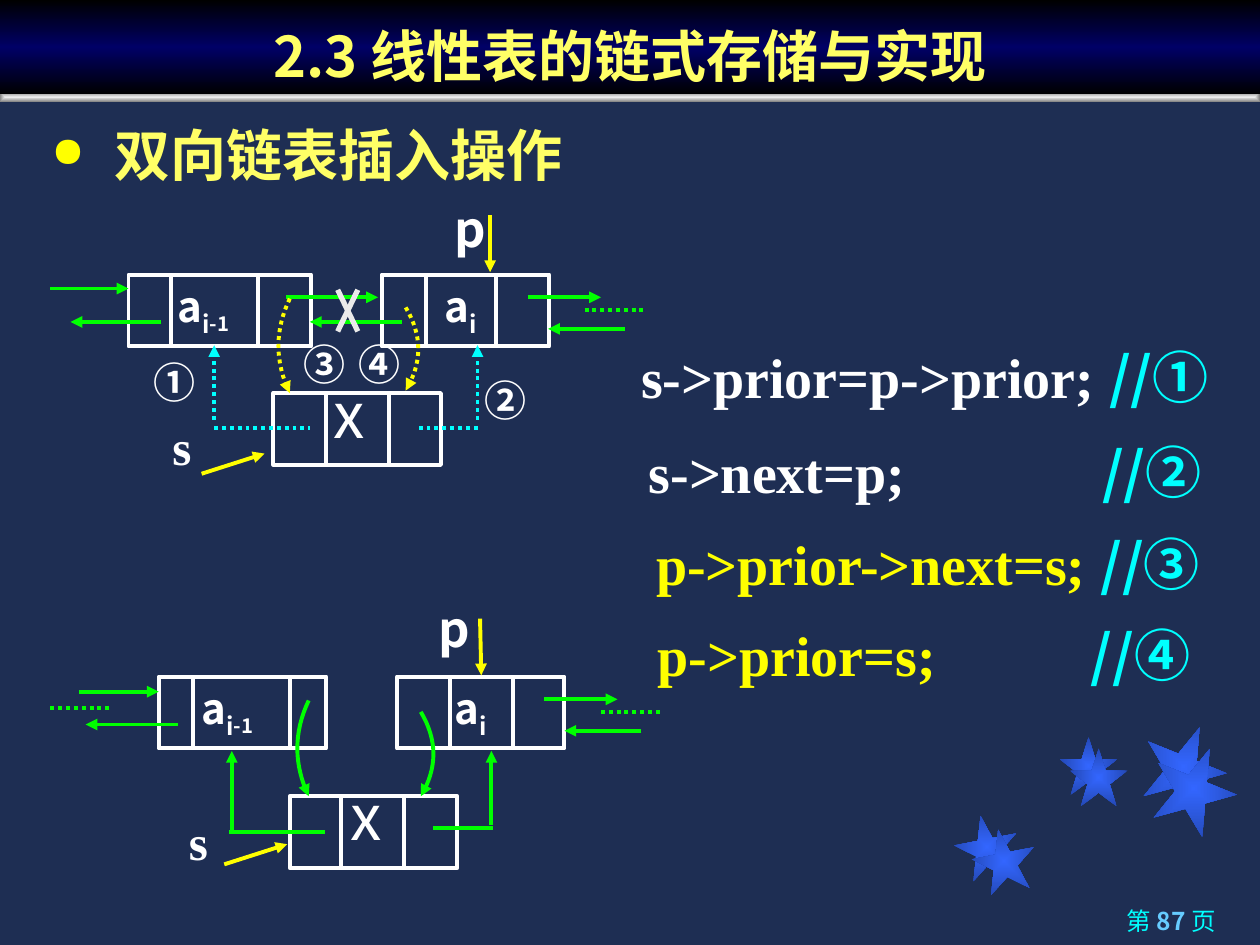
from lxml import etree
from pptx import Presentation, util as u
from pptx.dml.color import RGBColor
from pptx.enum import dml, shapes, text
from pptx.oxml import parse_xml
from pptx.oxml.ns import qn

HUES = {"back": "1E2E53", "white": "FFFFFF", "pale": "EAEAEA", "yellow": "FFFF00",
        "title": "FFFF66", "cyan": "00FFFF", "sky": "66CCFF", "green": "00FF00"}
FADES = {"star": ["3366FF", "2449B6"], "bar": ["EDEDED", "808080"],
         "head": ["000000", "000066", "000000"]}
SANS, SERIF = "Noto Sans CJK SC", "Times New Roman"
NS = "http://schemas.openxmlformats.org/drawingml/2006/main"

# The slide is a grid of 100 columns by 75 rows of square cells.
COLS, ROWS = 100, 75
CELL = u.Inches(0.1)
deck = Presentation()
deck.slide_width, deck.slide_height = COLS * CELL, ROWS * CELL
slide = deck.slides.add_slide(deck.slide_layouts[6])
slide.background.fill.solid()
slide.background.fill.fore_color.rgb = RGBColor.from_string(HUES["back"])


def write(box, runs, size, face=SANS, hue="white", bold=True, wrap=True):
    """Fill a shape, or a new box at (x, y, w, h), with (words, changes) runs."""
    if isinstance(box, tuple):
        box = slide.shapes.add_textbox(*[round(n * CELL) for n in box])
    frame = box.text_frame
    frame.word_wrap = wrap
    para = frame.paragraphs[0]
    for words, diff in runs:
        run = para.add_run()
        run.text = words
        font = run.font
        font.name = diff.get("face", face)
        font.color.rgb = RGBColor.from_string(HUES[diff.get("hue", hue)])
        font.bold = diff.get("bold", bold)
        font.size = u.Pt(diff.get("size", size))
        rpr = run._r.get_or_add_rPr()
        etree.SubElement(rpr, qn("a:ea")).set("typeface", SANS)
        if "base" in diff:
            rpr.set("baseline", str(diff["base"] * 1000))
    return para


def draw(points, hue="green", head=True, dots=False, width=2.25):
    """Draw a straight line through two points or a curve through many."""
    spots = [(round(x * CELL), round(y * CELL)) for x, y in points]
    if len(spots) == 2:
        item = slide.shapes.add_connector(shapes.MSO_CONNECTOR.STRAIGHT, *spots[0], *spots[1])
    else:
        path = slide.shapes.build_freeform(*spots[0])
        path.add_line_segments(spots[1:], close=False)
        item = path.convert_to_shape()
        item.fill.background()
    item.line.color.rgb = RGBColor.from_string(HUES[hue])
    item.line.width = u.Pt(width)
    if dots:
        item.line.dash_style = dml.MSO_LINE.ROUND_DOT
    if head:
        etree.SubElement(item.line._get_or_add_ln(), qn("a:tailEnd")).set("type", "triangle")
    etree.SubElement(item._element.spPr, qn("a:effectLst"))


# Stars, divider bar and title band
STAR, RECT = shapes.MSO_SHAPE.STAR_5_POINT, shapes.MSO_SHAPE.RECTANGLE
for kind, x, y, w, h, turn, fade in [
        (STAR, 75.8, 64.7, 5, 5, 349, "star"), (STAR, 84.1, 58.5, 4.6, 4.6, 0, "star"),
        (STAR, 90.6, 57.5, 6.7, 6.7, 22, "star"), (STAR, 77.2, 65.8, 5, 5, 349, "star"),
        (STAR, 84.9, 59.4, 4.6, 4.6, 0, "star"), (STAR, 91.4, 59.2, 6.7, 6.7, 22, "star"),
        (RECT, 0, 7.3, COLS, 0.8, 0, "bar"), (RECT, 0, 0, COLS, 7.5, 0, "head")]:
    band = slide.shapes.add_shape(kind, *[round(n * CELL) for n in (x, y, w, h)])
    band.rotation = turn
    band.shadow.inherit = False
    band.line.fill.background()
    tones = FADES[fade]
    stops = "".join(f'<a:gs pos="{100000 * i // (len(tones) - 1)}"><a:srgbClr val="{tone}"/></a:gs>'
                    for i, tone in enumerate(tones))
    way = ('<a:lin ang="5400000" scaled="0"/>' if fade == "head" else
           '<a:path path="shape"><a:fillToRect l="50000" t="50000" r="50000" b="50000"/></a:path>')
    band._element.spPr.find(qn("a:prstGeom")).addnext(parse_xml(
        f'<a:gradFill xmlns:a="{NS}" rotWithShape="1"><a:gsLst>{stops}</a:gsLst>{way}</a:gradFill>'))
band.text_frame.vertical_anchor = text.MSO_ANCHOR.BOTTOM
write(band, [("2.3 线性表的链式存储与实现", {})], 32, hue="title").alignment = text.PP_ALIGN.CENTER

page = write((71.2, 71.4, 26.3, 3.6),
             [("第 ", {}), ("87 ", {"hue": "sky", "bold": True}), ("页", {})],
             14, hue="cyan", bold=False)
page.alignment = text.PP_ALIGN.RIGHT

# Heading with its bullet
topic = write((3.1, 9.1, 43.1, 6.4), [("双向链表插入操作", {})], 32, SERIF, "title", wrap=False)
ppr = topic._p.get_or_add_pPr()
ppr.set("marL", str(5 * CELL))
ppr.set("indent", str(-5 * CELL))
etree.SubElement(etree.SubElement(ppr, qn("a:buClr")), qn("a:srgbClr")).set("val", HUES["yellow"])
etree.SubElement(ppr, qn("a:buSzPct")).set("val", "75000")
etree.SubElement(ppr, qn("a:buChar")).set("char", "●")

# Code lines; a tab stop, where given, sets the comment apart
for x, y, code, note, hue, tab in [
        (49.9, 25.6, "s->prior=p->prior; ", "//①", "white", 0),
        (50.5, 33.2, "s->next=p;\t", "//②", "white", 36),
        (51.1, 40.5, "p->prior->next=s; ", "//③", "yellow", 0),
        (51.2, 47.7, "p->prior=s;\t", "//④", "yellow", 34.4)]:
    para = write((x, y, 48, 7.5), [(code, {}), (note, {"face": SANS, "hue": "cyan"})],
                 32, SERIF, hue)
    para.line_spacing = 1.2
    if tab:
        tabs = etree.SubElement(para._p.get_or_add_pPr(), qn("a:tabLst"))
        stop = etree.SubElement(tabs, qn("a:tab"))
        stop.set("pos", str(round(tab * CELL)))
        stop.set("algn", "l")

# List nodes: left, top, width, two dividers
TALL = 5.7
for x, y, w, bars in [
        (10.2, 21.8, 14.5, (13.6, 20.5)), (30.3, 21.8, 13.3, (33.8, 39.4)),
        (21.7, 31.2, 13.3, (25.9, 30.9)), (12.6, 53.7, 13.3, (15.3, 23)),
        (31.5, 53.7, 13.3, (35.7, 40.7)), (23, 63.2, 13.3, (27.1, 32.1))]:
    node = slide.shapes.add_shape(RECT, *[round(n * CELL) for n in (x, y, w, TALL)])
    node.shadow.inherit = False
    node.fill.background()
    node.line.color.rgb = RGBColor.from_string(HUES["white"])
    node.line.width = u.Pt(2.25)
    for bar in bars:
        draw([(bar, y), (bar, y + TALL)], "white", head=False)

# Parts that both diagrams share, before and after the insertion
SUB = ("i", {"base": -25})
for dx, dy in [(0, 0), (1.3, 31.9)]:
    draw([(41.9 + dx, 23.6 + dy), (47.7 + dx, 23.6 + dy)])
    draw([(49.6 + dx, 26.1 + dy), (43.5 + dx, 26.1 + dy)])
    draw([(46.4 + dx, 24.6 + dy), (51.2 + dx, 24.6 + dy)], head=False, dots=True)
    write((25.5 + dx, 29.3 + dy, 5.7, 7), [("x", {})], 36, bold=False)
for x, y in [(13.1, 21.8), (15, 53.7)]:
    write((x, y, 10.3, 5.1), [("a", {}), SUB, ("-1", {"base": -25, "size": 20})], 24)
for x, y in [(34.3, 21.8), (35.1, 53.7)]:
    write((x, y, 7.8, 5.1), [("a", {}), SUB], 24)
for name, face, x, y in [("p", SANS, 35.1, 15.3), ("p", SANS, 33.8, 47),
                         ("s", SERIF, 12.7, 32.6), ("s", SERIF, 14, 63.9)]:
    write((x, y, 5, 5.7), [(name, {})], 28, face)
for mark, x, y in [("①", 11.2, 27.8), ("②", 37.5, 29.2), ("③", 23.1, 26.4), ("④", 27.5, 26.4)]:
    write((x, y, 5.7, 5.1), [(mark, {})], 24)

# Pointers p and s
for x, y, dx, dy in [(38.9, 17.1, 0, 4.5), (38.1, 49.1, 0.1, 4.5),
                     (16, 37.6, 5, -1.6), (17.8, 68.6, 5, -1.6)]:
    draw([(x, y), (x + dx, y + dy)], "yellow")

# Links to and between neighbours
for x, y, end in [(4, 22.9, 10.2), (22.7, 23.6, 30), (31.9, 25.55, 24.6), (12.8, 25.55, 5.6),
                  (6.3, 54.9, 12.6), (14.1, 57.5, 6.8)]:
    draw([(x, y), (end, y)])
draw([(4, 56.2), (8.7, 56.2)], head=False, dots=True)

# Links that rise from the new node: x and foot of riser, top, ends and row of base
for x, foot, top, start, end, row, hue in [
        (17, 33.3, 27.4, 17, 24.6, 34, "cyan"), (37.9, 33.3, 27.4, 37.9, 33.1, 34, "cyan"),
        (18.4, 65.9, 59.6, 18.2, 25.8, 66, "green"), (39, 65.5, 59.6, 39.1, 34.4, 65.7, "green")]:
    draw([(x, foot), (x, top)], hue, dots=hue == "cyan")
    draw([(start, row), (end, row)], hue, head=False, dots=hue == "cyan")

# Curved links down to the new node: start, height, sideways bulge
STEPS = 16
for x, y, drop, bulge, hue in [
        (32.2, 24.4, 6.6, 1, "yellow"), (23, 23.7, 7.5, -0.9, "yellow"),
        (24.5, 55.6, 7.6, -0.9, "green"), (33.4, 56.5, 6.7, 1, "green")]:
    arc = [(x + bulge * (1 - (2 * i / STEPS - 1) ** 2), y + drop * i / STEPS)
           for i in range(STEPS + 1)]
    draw(arc, hue, dots=hue == "yellow")

# Cross over the broken links
for left, right in [(28.4, 26.8), (26.8, 28.4)]:
    draw([(left, 23), (right, 26.3)], "pale", head=False, width=3)

deck.save("out.pptx")
